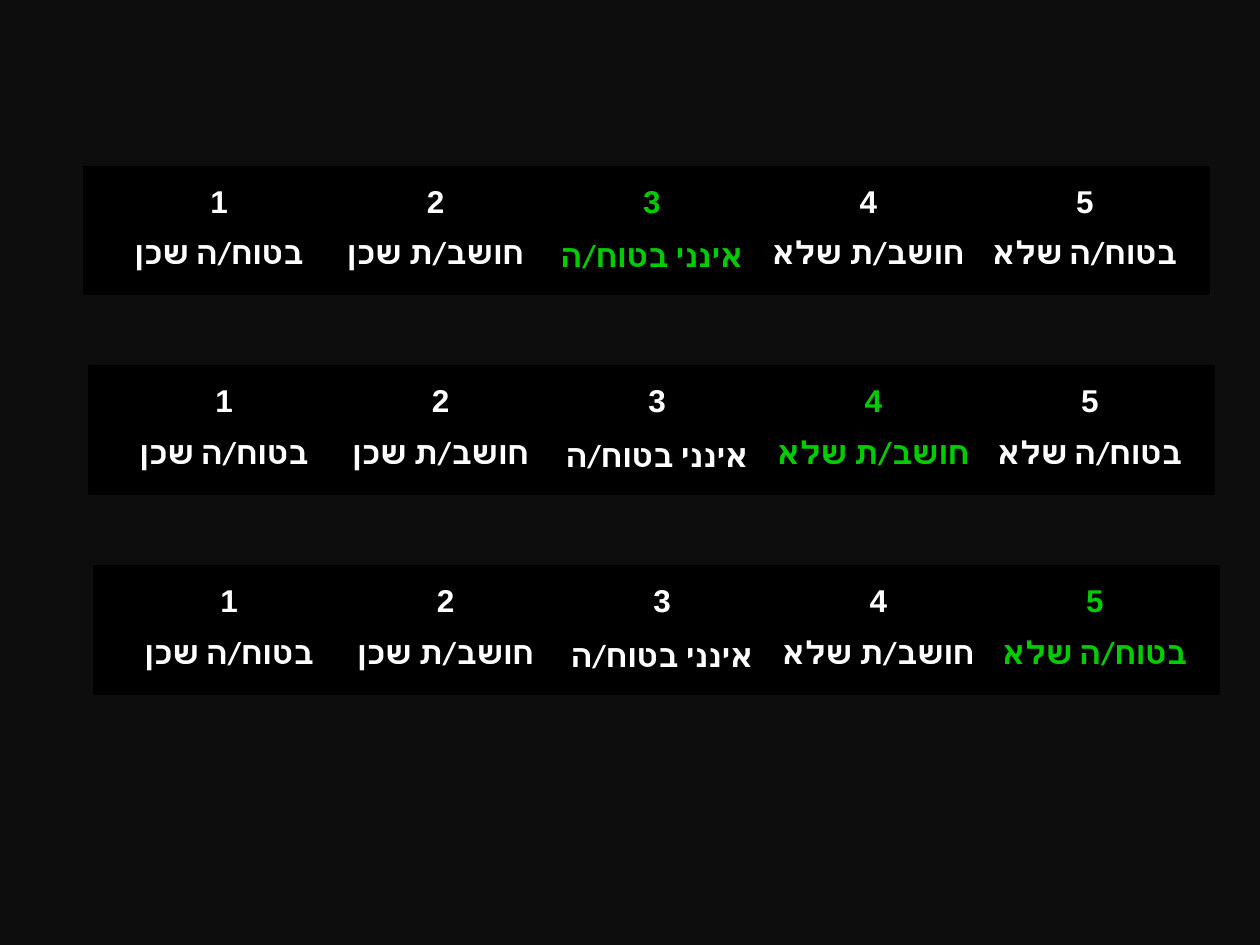
from lxml import etree
from pptx import Presentation
from pptx.dml.color import RGBColor
from pptx.enum.shapes import MSO_SHAPE
from pptx.enum.text import MSO_ANCHOR, PP_ALIGN
from pptx.oxml.ns import qn
from pptx.util import Inches, Pt

RECTANGLE = MSO_SHAPE.RECTANGLE
CENTER = PP_ALIGN.CENTER
TOP, MIDDLE = MSO_ANCHOR.TOP, MSO_ANCHOR.MIDDLE
NO_STYLE_NO_GRID = "{2D5ABB26-0587-4C30-8999-92F81FD0307C}"

# Content: the answer scale, with each label split around its slash
ANSWERS = [
    ("1", ("בטוח", "/", "ה שכן")),
    ("2", ("חושב", "/", "ת שכן")),
    ("3", ("אינני בטוח", "/", "ה")),
    ("4", ("חושב", "/", "ת שלא")),
    ("5", ("בטוח", "/", "ה שלא")),
]
CHOSEN_ANSWERS = ["3", "4", "5"]
MIDDLE_ANSWER = "3"

COLORS = {"background": "0D0D0D", "panel": "000000",
          "text": "FFFFFF", "chosen": "00CC00"}

# Layout in inches
PANEL_LEFT, PANEL_TOP, PANEL_WIDTH, PANEL_HEIGHT = 0.67, 1.33, 8.92, 1
STEP_RIGHT, STEP_DOWN = 0.04, 1.585
TABLE_INSET_X, TABLE_INSET_Y, TABLE_WIDTH = 0.21, 0.085, 8.59
ROW_HEIGHTS = (0.4, 0.45)
CELL_MARGIN = 0.05


def color(name):
    return RGBColor.from_string(COLORS[name])


def add_panel(slide, left, top):
    panel = slide.shapes.add_shape(RECTANGLE, Inches(left), Inches(top),
                                   Inches(PANEL_WIDTH), Inches(PANEL_HEIGHT))
    panel.shadow.inherit = False
    panel.fill.solid()
    panel.fill.fore_color.rgb = color("panel")
    panel.line.color.rgb = color("panel")
    panel.line.width = Pt(2)


def fill_cell(cell, pieces, color_name, anchor=TOP, hebrew=False):
    cell.fill.solid()
    cell.fill.fore_color.rgb = color("panel")
    cell.margin_left = cell.margin_right = Inches(CELL_MARGIN)
    cell.margin_top = cell.margin_bottom = Inches(CELL_MARGIN)
    cell.vertical_anchor = anchor
    paragraph = cell.text_frame.paragraphs[0]
    paragraph.alignment = CENTER
    if hebrew:
        paragraph._p.get_or_add_pPr().set("rtl", "1")
    for piece in pieces:
        run = paragraph.add_run()
        run.text = piece
        run.font.size = Pt(18)
        run.font.bold = True
        run.font.color.rgb = color(color_name)
        if hebrew and piece != "/":
            run.font.name = "Calibri"
            # Hebrew letters take the complex-script font
            etree.SubElement(run.font._element, qn("a:cs"), typeface="Calibri")
        else:
            run.font.name = "Arial"


def add_scale(slide, left, top, chosen):
    frame = slide.shapes.add_table(
        len(ROW_HEIGHTS), len(ANSWERS), Inches(left), Inches(top),
        Inches(TABLE_WIDTH), Inches(sum(ROW_HEIGHTS)))
    table = frame.table
    table.first_row = table.horz_banding = False
    next(frame.element.iter(qn("a:tableStyleId"))).text = NO_STYLE_NO_GRID
    for row, height in zip(table.rows, ROW_HEIGHTS):
        row.height = Inches(height)
    for column, (number, label) in enumerate(ANSWERS):
        color_name = "chosen" if number == chosen else "text"
        anchor = MIDDLE if number == MIDDLE_ANSWER else TOP
        fill_cell(table.cell(0, column), [number], color_name)
        fill_cell(table.cell(1, column), label, color_name, anchor, hebrew=True)


def main():
    presentation = Presentation()
    presentation.slide_width = Inches(10)
    presentation.slide_height = Inches(7.5)
    slide = presentation.slides.add_slide(presentation.slide_layouts[6])
    slide.background.fill.solid()
    slide.background.fill.fore_color.rgb = color("background")

    # One panel with its scale for each chosen answer
    for index, chosen in enumerate(CHOSEN_ANSWERS):
        left = PANEL_LEFT + index * STEP_RIGHT
        top = PANEL_TOP + index * STEP_DOWN
        add_panel(slide, left, top)
        add_scale(slide, left + TABLE_INSET_X, top + TABLE_INSET_Y, chosen)

    presentation.save("out.pptx")


if __name__ == "__main__":
    main()
